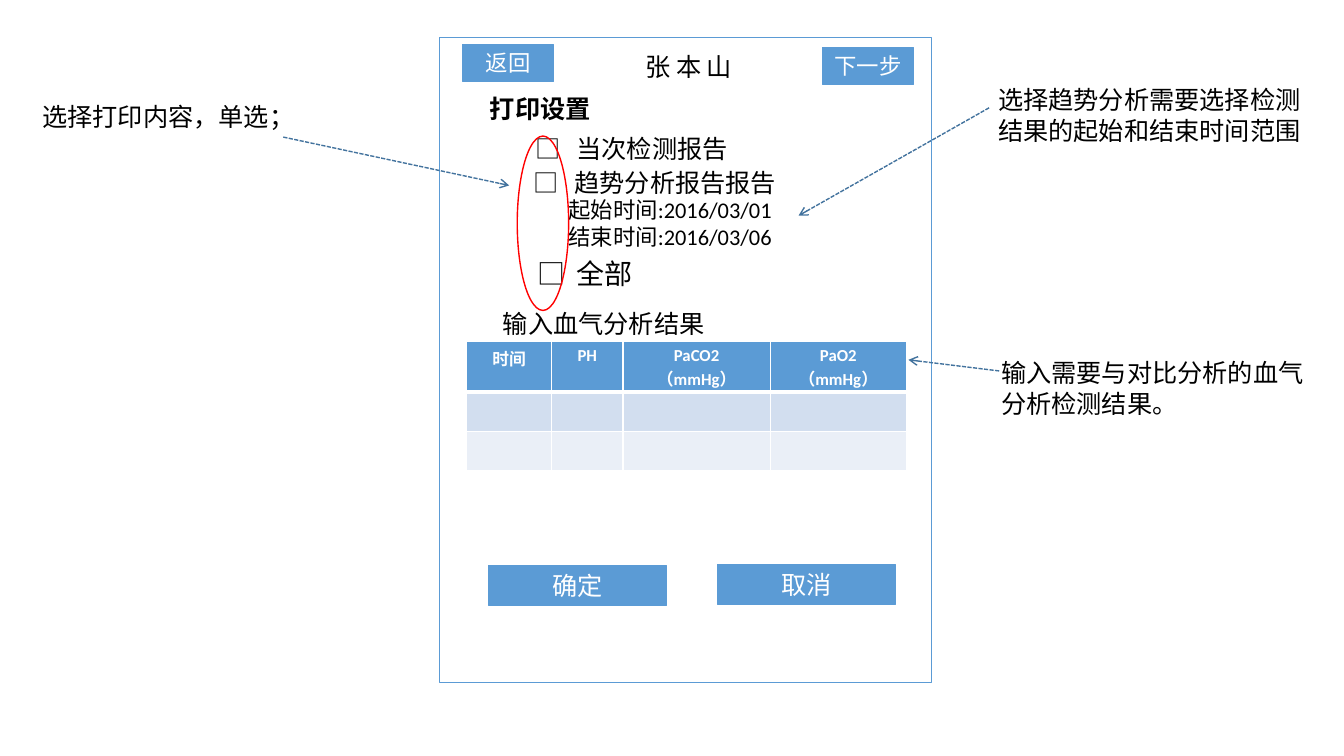
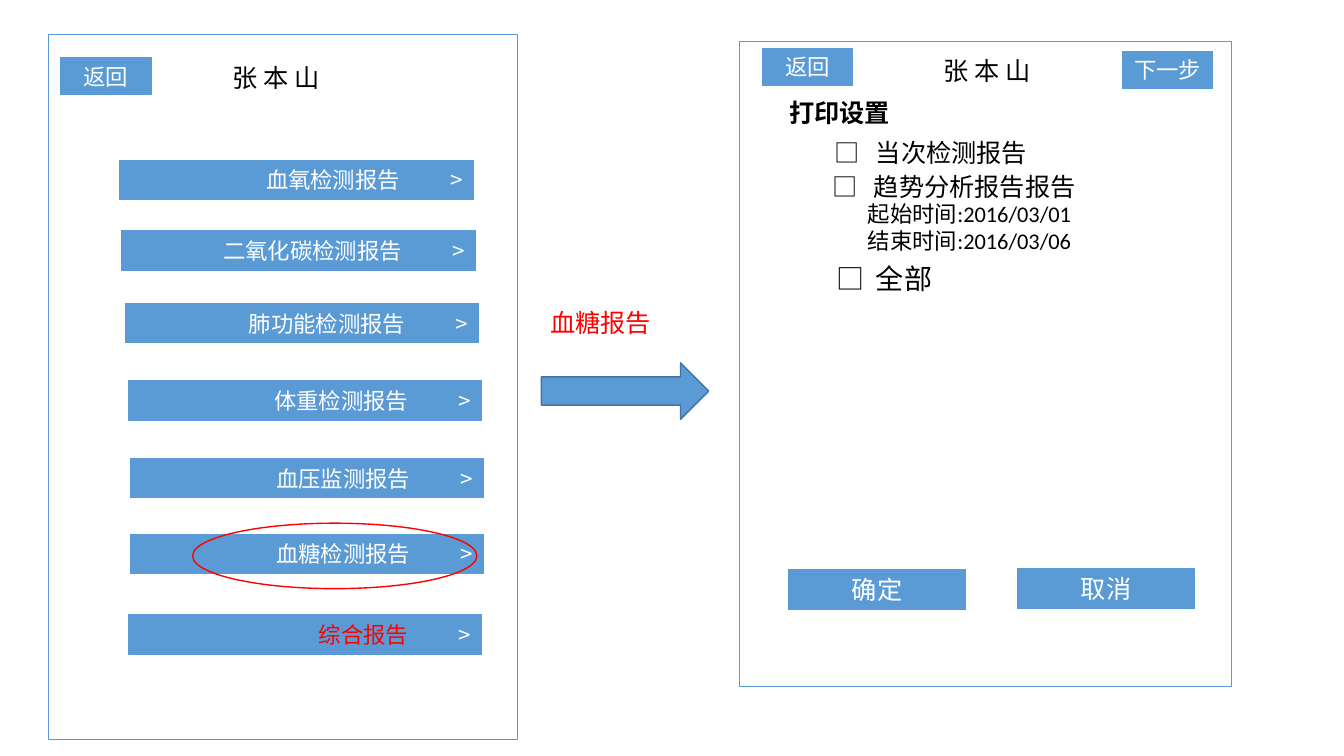
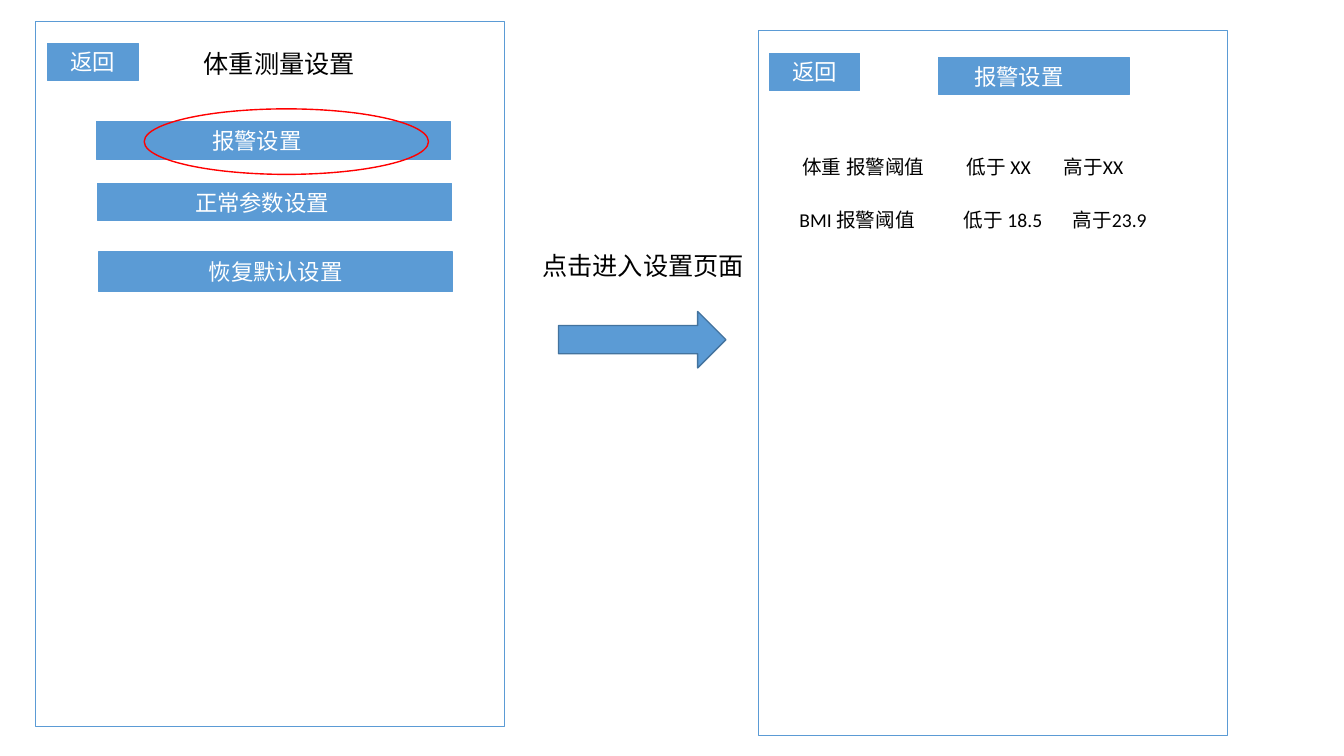
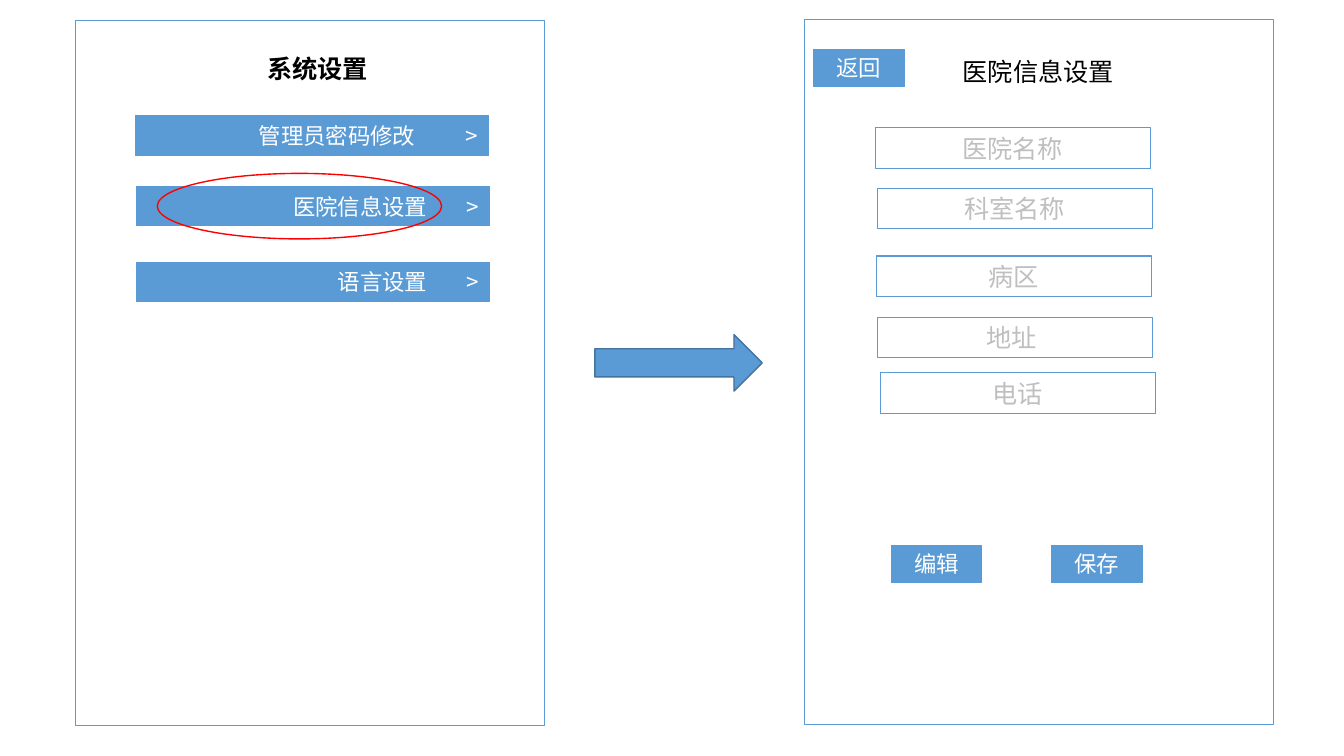
from lxml import etree
from pptx import Presentation
from pptx import util as u
from pptx.dml.color import RGBColor
from pptx.enum import dml, shapes, text
from pptx.oxml.ns import qn

PX = 9144  # EMU; 100 px to the inch
BLUE, EDGE, WHITE, BLACK = "5B9BD5", "43739E", "FFFFFF", "000000"
RED, GREY = "FF0000", "BFBFBF"
LATIN, CJK = "Calibri", "Noto Sans CJK SC"
LEFT, CENTER = text.PP_ALIGN.LEFT, text.PP_ALIGN.CENTER
RECT, OVAL, ARROW = (shapes.MSO_SHAPE.RECTANGLE, shapes.MSO_SHAPE.OVAL,
                     shapes.MSO_SHAPE.RIGHT_ARROW)
TALL_W, TALL_H = 465, 700


def px(*lengths):
    return [n * PX for n in lengths]


def rgb(color):
    return RGBColor.from_string(color)


def add_run(p, words, size, color=BLACK, bold=False, font=LATIN):
    r = p.add_run()
    r.text = words
    f = r.font
    f.size, f.bold, f.name = u.Pt(size), bold, font
    f.color.rgb = rgb(color)
    etree.SubElement(f._element, qn("a:ea"), typeface=CJK)


def set_tabs(p, stops):
    """Give the paragraph tab stops, each a (position, "l" or "r") pair."""
    tabs = etree.SubElement(p._p.get_or_add_pPr(), qn("a:tabLst"))
    for pos, align in stops:
        etree.SubElement(tabs, qn("a:tab"), pos=str(pos * PX), algn=align)


def write(sp, lines, size, color=BLACK, bold=False, align=LEFT, stops=(),
          wrap=True, anchor=text.MSO_ANCHOR.TOP):
    tf = sp.text_frame
    tf.auto_size = text.MSO_AUTO_SIZE.NONE
    tf.word_wrap, tf.vertical_anchor = wrap, anchor
    for i, words in enumerate(lines.split("\n")):
        p = tf.add_paragraph() if i else tf.paragraphs[0]
        p.alignment = align
        if stops:
            set_tabs(p, stops)
        add_run(p, words, size, color, bold)


def add_label(s, x, y, w, h, lines, size=18, **style):
    write(s.shapes.add_textbox(*px(x, y, w, h)), lines, size, **style)


def add_title(s, x, y, w, words, **style):
    sp = s.shapes.title
    sp.left, sp.top, sp.width, sp.height = px(x, y, w, 40)
    write(sp, words, 18, **style)
    sp.element.getparent().append(sp.element)  # in front of the screen


def add_box(s, kind, x, y, w, h, fill=None, line=BLUE, weight=0.75):
    sp = s.shapes.add_shape(kind, *px(x, y, w, h))
    sp.shadow.inherit = False
    if fill:
        sp.fill.solid()
        sp.fill.fore_color.rgb = rgb(fill)
    else:
        sp.fill.background()
    sp.line.color.rgb = rgb(line)
    sp.line.width = u.Pt(weight)
    return sp


def add_button(s, x, y, w, h, words, size=16, fill=BLUE, color=WHITE, right=10):
    """Centred words; a larger right inset moves them to the left."""
    sp = add_box(s, RECT, x, y, w, h, fill)
    write(sp, words, size, color, align=CENTER, anchor=text.MSO_ANCHOR.MIDDLE)
    sp.text_frame.margin_right = right * PX


def small_button(s, x, y, words):
    add_button(s, x, y, 90, 37, words)


def add_ring(s, x, y, w=282, h=65):
    add_box(s, OVAL, x, y, w, h, line=RED, weight=1)


def flow_arrow(s, x, y):
    add_box(s, ARROW, x, y, 166, 56, BLUE, EDGE, 1)


def tall_screen(s, x, y):
    add_box(s, RECT, x, y, TALL_W, TALL_H)


def menu_item(s, x, y, words, end=268, color=WHITE):
    """Bar whose words end at a right tab, with > at its right edge."""
    sp = add_box(s, RECT, x, y, 351, 39, BLUE)
    write(sp, f"\t{words}\t", 16, color, stops=[(end, "r"), (330, "r")],
          anchor=text.MSO_ANCHOR.MIDDLE)
    add_run(sp.text_frame.paragraphs[0], ">", 16, WHITE, font=CJK)


def print_screen(s, x, y):
    add_box(s, RECT, x, y, 488, 640, WHITE)
    add_button(s, x + 49, y + 524, 176, 40, "确定", 18)
    add_button(s, x + 276, y + 523, 176, 40, "取消", 18)
    small_button(s, x + 23, y + 7, "返回")
    small_button(s, x + 380, y + 10, "下一步")
    add_label(s, x + 40, y + 51, 131, 40, "打印设置", bold=True)
    for dx, dy, words, size, tab in ((85, 90, "当次检测报告", 18, 41),
                                     (83, 124, "趋势分析报告报告", 18, 41),
                                     (87, 213, "全部", 20, 39)):
        add_label(s, x + dx, y + dy, 350, 42, f"□\t{words}", size,
                  stops=[(tab, "l")])
    add_label(s, x + 118, y + 153, 348, 63,
              "起始时间:2016/03/01\n结束时间:2016/03/06", 16)


def cell_borders(cell, bottom):
    tc_pr = cell._tc.get_or_add_tcPr()
    for i, (side, pt) in enumerate((("L", 1), ("R", 1), ("T", 1), ("B", bottom))):
        ln = etree.Element(qn("a:ln" + side), w=str(u.Pt(pt)))
        fill = etree.SubElement(ln, qn("a:solidFill"))
        etree.SubElement(fill, qn("a:srgbClr"), val=WHITE)
        tc_pr.insert(i, ln)


def blood_gas_table(s, x, y):
    heads = ("时间", "PH", "PaCO2\n（mmHg）", "PaO2\n（mmHg）")
    widths, heights = (84, 71, 146, 135), (50, 39, 39)
    frame = s.shapes.add_table(3, 4, *px(x, y, sum(widths), sum(heights)))
    table = frame.table
    for col, w in zip(table.columns, widths):
        col.width = w * PX
    for i, (row, h, fill) in enumerate(zip(table.rows, heights,
                                           (BLUE, "D2DEEF", "EAEFF7"))):
        row.height = h * PX
        for cell, head in zip(row.cells, heads):
            cell.fill.solid()
            cell.fill.fore_color.rgb = rgb(fill)
            cell.margin_top, cell.margin_bottom = px(0 if i else 4, 0)
            cell_borders(cell, 1 if i else 3)
            if i == 0:
                for n, words in enumerate(head.split("\n")):
                    tf = cell.text_frame
                    p = tf.add_paragraph() if n else tf.paragraphs[0]
                    p.alignment = CENTER
                    add_run(p, words, 12, WHITE, True)


def callout(s, x, y, h, words, start, end):
    """Note with a dashed arrow from start to end."""
    add_label(s, x, y, 341, h, words)
    cx = s.shapes.add_connector(shapes.MSO_CONNECTOR.STRAIGHT,
                                *px(*start, *end))
    cx.line.color.rgb = rgb(EDGE)
    cx.line.width = u.Pt(1)
    cx.line.dash_style = dml.MSO_LINE.SQUARE_DOT
    etree.SubElement(cx.line._get_or_add_ln(), qn("a:tailEnd"), type="arrow")
    etree.SubElement(cx._element.spPr, qn("a:effectLst"))


def print_settings_slide(s):
    print_screen(s, 436, 37)
    add_title(s, 630, 46, 117, "张 本 山")
    add_label(s, 489, 301, 356, 40, "输入血气分析结果")
    blood_gas_table(s, 463, 339)
    add_ring(s, 513, 135, 51, 173)
    callout(s, 32, 96, 40, "选择打印内容，单选；", (281, 136), (505, 184))
    callout(s, 980, 79, 70, "选择趋势分析需要选择检测结果的起始和结束时间范围",
            (981, 107), (792, 214))
    callout(s, 983, 350, 70, "输入需要与对比分析的血气分析检测结果。",
            (991, 368), (901, 357))


def report_menu_slide(s):
    tall_screen(s, 48, 34)
    small_button(s, 60, 57, "返回")
    add_title(s, 221, 57, 117, "张 本 山")
    for x, y, words in ((119, 159, "血氧检测报告"), (121, 229, "二氧化碳检测报告"),
                        (124, 301, "肺功能检测报告"), (127, 378, "体重检测报告"),
                        (129, 455, "血压监测报告"), (129, 530, "血糖检测报告")):
        menu_item(s, x, y, words)
    menu_item(s, 127, 610, "综合报告", color=RED)
    add_ring(s, 191, 519)
    add_label(s, 536, 300, 160, 40, "血糖报告", color=RED)
    flow_arrow(s, 537, 360)
    print_screen(s, 733, 41)
    add_label(s, 926, 50, 117, 40, "张 本 山")


def weight_settings_slide(s):
    tall_screen(s, 35, 21)
    small_button(s, 47, 43, "返回")
    add_title(s, 192, 43, 230, "体重测量设置")
    add_button(s, 96, 121, 351, 37, "报警设置", right=43)
    add_button(s, 97, 182, 351, 37, "正常参数设置", right=35)
    add_button(s, 98, 250, 351, 39, "恢复默认设置")
    add_ring(s, 143, 108)
    add_label(s, 528, 243, 220, 40, "点击进入设置页面", wrap=False)
    flow_arrow(s, 554, 309)
    tall_screen(s, 752, 30)
    small_button(s, 763, 53, "返回")
    add_button(s, 931, 57, 189, 37, "报警设置", right=40)
    for x, y, words, high in ((786, 149, "体重 报警阈值\t低于 XX\t高于XX", 259),
                              (783, 201, "BMI 报警阈值\t低于 18.5\t高于23.9", 271)):
        add_label(s, x, y, 420, 33, words, 14, stops=[(163, "l"), (high, "l")])


def system_settings_slide(s):
    tall_screen(s, 75, 20)
    add_title(s, 173, 48, 284, "系统设置", bold=True, align=CENTER)
    menu_item(s, 134, 115, "管理员密码修改")
    menu_item(s, 135, 185, "医院信息设置", 279)
    menu_item(s, 135, 260, "语言设置", 279)
    add_ring(s, 156, 172)
    flow_arrow(s, 590, 332)
    tall_screen(s, 798, 19)
    small_button(s, 807, 49, "返回")
    add_label(s, 945, 51, 170, 40, "医院信息设置", wrap=False)
    for x, y, words, right in ((868, 127, "医院名称", 10), (870, 187, "科室名称", 10),
                               (869, 254, "病区", 10), (870, 315, "地址", 16),
                               (873, 370, "电话", 10)):
        add_button(s, x, y, 273, 40, words, 18, None, GREY, right)
    small_button(s, 884, 541, "编辑")
    small_button(s, 1043, 541, "保存")


def main():
    prs = Presentation()
    prs.slide_width, prs.slide_height = px(1333, 750)
    for build in (print_settings_slide, report_menu_slide,
                  weight_settings_slide, system_settings_slide):
        build(prs.slides.add_slide(prs.slide_layouts[5]))
    prs.save("out.pptx")


if __name__ == "__main__":
    main()
